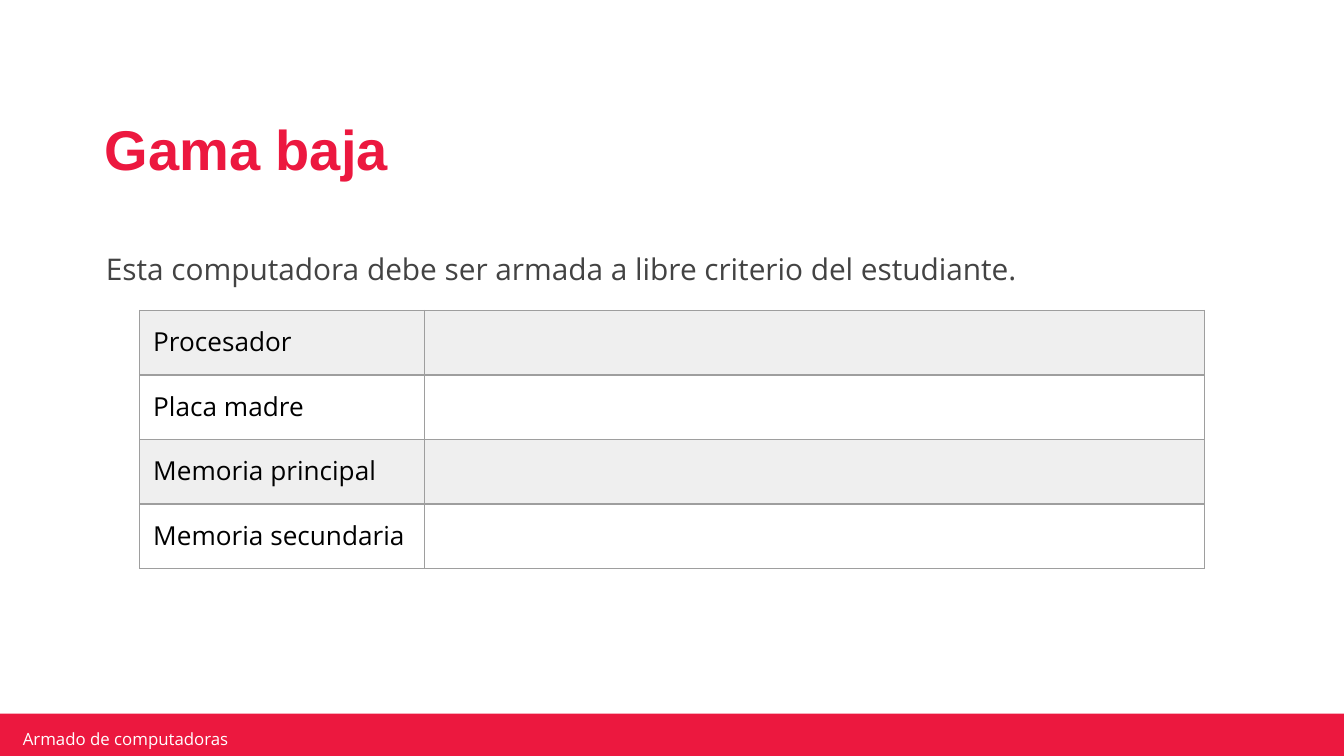
from lxml import etree
from pptx import Presentation
from pptx import util as u
from pptx.dml.color import RGBColor
from pptx.enum import dml, shapes, text
from pptx.oxml import ns

RED, PINK, GREY, BORDER = "EC183F", "FCD8D6", "EFEFEF", "9E9E9E"
BLACK, WHITE, BODY_GREY = "000000", "FFFFFF", "434343"


def rgb(value):
    return RGBColor.from_string(value)


class Deck:
    """Holds the style and the current slide."""

    font = "Open Sans"
    heading_font = "Arial"

    def __init__(self, prs):
        self.s = prs.slides.add_slide(prs.slide_layouts[6])
        self.s.background.fill.solid()
        self.s.background.fill.fore_color.rgb = rgb(WHITE)

    def style(self, p, size, color, font=None, bold=False):
        p.font.name = font or self.font
        p.font.size = u.Pt(size)
        p.font.bold = bold
        p.font.color.rgb = rgb(color)

    def bar(self, x, y, w, h, color):
        sp = self.s.shapes.add_shape(
            shapes.MSO_SHAPE.RECTANGLE, *map(u.Inches, (x, y, w, h)))
        sp.shadow.inherit = False
        sp.fill.solid()
        sp.fill.fore_color.rgb = rgb(color)
        sp.line.fill.background()

    def dotted_line(self, x1, y1, x2, y2, color):
        line = self.s.shapes.add_connector(
            shapes.MSO_CONNECTOR.STRAIGHT, *map(u.Inches, (x1, y1, x2, y2)))
        line.line.color.rgb = rgb(color)
        line.line.width = u.Pt(0.75)
        line.line.dash_style = dml.MSO_LINE.ROUND_DOT
        etree.SubElement(line._element.spPr, ns.qn("a:effectLst"))

    def label(self, x, y, w, h, words, size, color, inset, spacing=None,
              anchor=text.MSO_ANCHOR.MIDDLE, **font):
        sp = self.s.shapes.add_textbox(*map(u.Inches, (x, y, w, h)))
        tf = sp.text_frame
        tf.word_wrap = True
        tf.vertical_anchor = anchor
        tf.margin_left = tf.margin_right = u.Inches(inset[0])
        tf.margin_top = tf.margin_bottom = u.Inches(inset[1])
        p = tf.paragraphs[0]
        p.text = words
        p.line_spacing = spacing
        self.style(p, size, color, **font)

    def table(self, x, y, widths, row_height, names):
        frame = self.s.shapes.add_table(
            len(names), len(widths), u.Inches(x), u.Inches(y),
            u.Inches(sum(widths)), u.Inches(row_height * len(names)))
        tbl = frame.table
        tbl.first_row = tbl.horz_banding = False
        for column, width in zip(tbl.columns, widths):
            column.width = u.Inches(width)
        for i, name in enumerate(names):
            tbl.cell(i, 0).text = name
            for cell in tbl.rows[i].cells:
                cell.margin_left = cell.margin_right = u.Inches(0.1)
                cell.margin_top = cell.margin_bottom = u.Inches(0.1)
                self.style(cell.text_frame.paragraphs[0], 14, BLACK)
                self.borders(cell)
                if i % 2 == 0:
                    cell.fill.solid()
                    cell.fill.fore_color.rgb = rgb(GREY)
                else:
                    cell.fill.background()

    def borders(self, cell):
        tc_pr = cell._tc.get_or_add_tcPr()
        for side in ("a:lnL", "a:lnR", "a:lnT", "a:lnB"):
            ln = etree.SubElement(tc_pr, ns.qn(side), w=str(u.Pt(0.75)))
            fill = etree.SubElement(ln, ns.qn("a:solidFill"))
            etree.SubElement(fill, ns.qn("a:srgbClr"), val=BORDER)


def main():
    # Widescreen slide, 16:9
    prs = Presentation()
    prs.slide_width = u.Inches(10)
    prs.slide_height = u.Inches(10 * 9 / 16)
    deck = Deck(prs)

    # Footer
    deck.dotted_line(-0.02, 5.32, 10.02, 5.32, PINK)
    deck.bar(-0.02, 5.31, 10.03, 0.36, RED)
    deck.label(0.12, 5.42, 2.39, 0.15, "Armado de computadoras", 9, WHITE,
               inset=(0.05, 0.02))

    # Title
    deck.label(0.69, 0.67, 8.4, 0.93, "Gama baja", 30, RED,
               inset=(0.09, 0.04), spacing=0.9,
               font=deck.heading_font, bold=True)

    # Component table
    deck.table(1.04, 2.31, (2.12, 5.8), 0.48,
               ("Procesador", "Placa madre",
                "Memoria principal", "Memoria secundaria"))

    # Instruction
    deck.label(0.69, 1.68, 8.83, 0.3,
               "Esta computadora debe ser armada a libre criterio "
               "del estudiante.", 16, BODY_GREY, inset=(0.1, 0.05),
               spacing=1.5, anchor=text.MSO_ANCHOR.TOP)

    prs.save("out.pptx")


if __name__ == "__main__":
    main()
